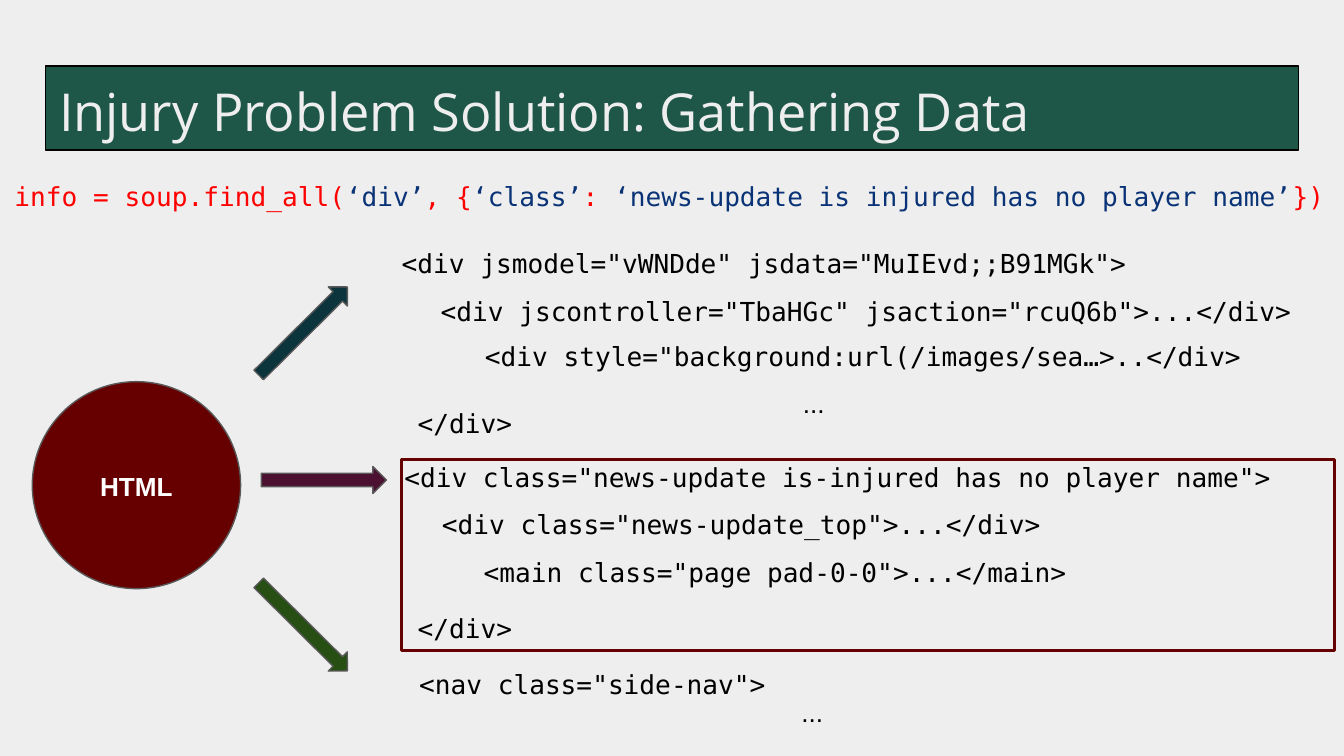
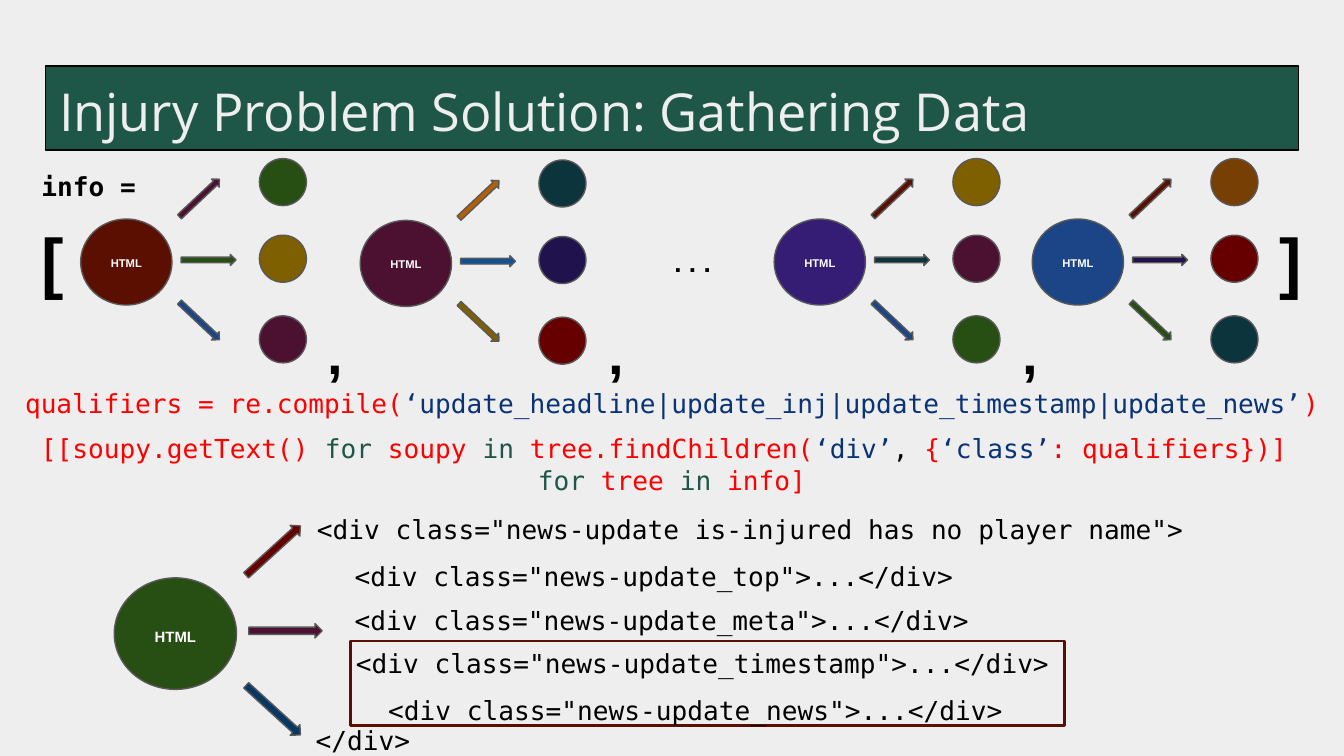
from math import atan2, degrees
from pptx import Presentation
from pptx.dml.color import RGBColor as RGB
from pptx.enum.shapes import MSO_SHAPE as Kind
from pptx.enum.text import MSO_ANCHOR as Anchor, MSO_AUTO_SIZE as Fit, PP_ALIGN as Align
from pptx.util import Inches, Pt

HEX = {
    "paper": "EEEEEE", "band": "1E5748", "ink": "000000", "white": "FFFFFF",
    "edge": "595959", "red": "FF0000", "navy": "093376", "wine": "660000",
    "rust": "5B0F00", "plum": "4C1130", "green": "274E13", "teal": "0C343D",
    "gold": "7F6000", "blue": "1C4587", "sky": "0B5394", "deep": "073763",
    "night": "20124D", "violet": "351C75", "orange": "B45F06", "brown": "783F04",
}
HUE = {name: RGB.from_string(code) for name, code in HEX.items()}
MONO, SANS, HEAD = "DejaVu Sans Mono", "Arial", "Open Sans"

# Wide 16:9 slides on a grey ground
deck = Presentation()
deck.slide_width, deck.slide_height = Inches(10), Inches(10 * 9 / 16)
CELL = deck.slide_width / 100  # square grid, 100 columns across
back = deck.slide_master.background.fill
back.solid()
back.fore_color.rgb = HUE["paper"]


def write(host, text, box=None, size=14, font=MONO, hue="ink",
          bold=False, align=Align.LEFT, indent=0):
    """Fill a shape, or a new text box on a slide; text is a string or lines of runs."""
    if box:
        host = host.shapes.add_textbox(*[round(n * CELL) for n in box])
    frame = host.text_frame
    frame.word_wrap, frame.auto_size = True, Fit.NONE
    frame.vertical_anchor = Anchor.TOP
    frame.margin_left = frame.margin_right = Inches(0.1)
    frame.margin_top = frame.margin_bottom = Inches(0.1)
    lines = [[(text, hue)]] if isinstance(text, str) else text
    for i, line in enumerate(lines):
        para = frame.add_paragraph() if i else frame.paragraphs[0]
        para.alignment = align
        if indent:
            para._p.get_or_add_pPr().set("marL", str(round(indent * CELL)))
        for words, tint in line:
            run = para.add_run()
            run.text = words
            run.font.name, run.font.size, run.font.bold = font, Pt(size), bold
            run.font.color.rgb = HUE[tint]


def draw(page, kind, box, fill=None, line="edge", width=0.75, turn=0):
    shape = page.shapes.add_shape(kind, *[round(n * CELL) for n in box])
    shape.shadow.inherit = False
    shape.rotation = turn
    if fill:
        shape.fill.solid()
        shape.fill.fore_color.rgb = HUE[fill]
    else:
        shape.fill.background()
    shape.line.color.rgb, shape.line.width = HUE[line], Pt(width)


# Slides with the shared title band
pages = []
for _ in range(2):
    page = deck.slides.add_slide(deck.slide_layouts[5])
    title = page.shapes.title
    title.left, title.top, title.width, title.height = [
        round(n * CELL) for n in (3.4, 4.9, 93.2, 6.25)]
    title.fill.solid()
    title.fill.fore_color.rgb = HUE["band"]
    title.line.color.rgb, title.line.width = HUE["ink"], Pt(0.75)
    write(title, "Injury Problem Solution: Gathering Data", size=28, font=HEAD, hue="paper")
    pages.append(page)
first, second = pages

# Frames around the matching tags
draw(first, Kind.RECTANGLE, (29.9, 34.2, 69.4, 14.2), line="wine", width=1.5)
draw(second, Kind.RECTANGLE, (26.1, 47.7, 53.1, 6.3), line="rust", width=1.5)

# HTML trees: circle, label and three arrows (up, middle, down)
BIG, MID, TINY = (15.5, 15.4, 14, 5.6), (9.1, 8.3, 8, 2.7), (6.8, 6.4, 6, 1.8)
trees = [
    (first, 2.4, 28.4, BIG, "wine", ("teal", "plum", "green"), ()),
    (second, 8.5, 43, MID, "green", ("wine", "plum", "deep"), ()),
    (second, 6, 16.3, TINY, "rust", ("plum", "green", "blue"), ("green", "gold", "plum")),
    (second, 26.8, 16.4, TINY, "plum", ("orange", "sky", "gold"), ("teal", "night", "wine")),
    (second, 57.6, 16.3, TINY, "violet", ("rust", "teal", "blue"), ("gold", "plum", "green")),
    (second, 76.8, 16.3, TINY, "blue", ("rust", "night", "green"), ("brown", "wine", "teal")),
]
for page, x, y, (w, h, size, drop), fill, arrows, leaves in trees:
    draw(page, Kind.OVAL, (x, y, w, h), fill)
    write(page, "HTML", (x, y + drop, w, 0.3 * h), size=size, font=SANS,
          hue="white", bold=True, align=Align.CENTER)
    tilt = degrees(atan2(h, w))
    spots = [(1, -0.31, -tilt), (1.1, 0.41, 0), (1, 1.12, tilt)]
    for tint, (right, down, turn) in zip(arrows, spots):
        draw(page, Kind.RIGHT_ARROW, (x + right * w, y + down * h, 0.6 * w, 0.13 * h),
             tint, turn=turn)
    for tint, down in zip(leaves, (-4.5, 1.2, 7.2)):
        draw(page, Kind.OVAL, (x + 13.3, y + down, 3.5, 3.5), tint)

# Tags found: page, left, top, width, indent, text
tags = [
    (first, 28.9, 17.4, 69.4, 0, '<div jsmodel="vWNDde" jsdata="MuIEvd;;B91MGk">'),
    (first, 26.8, 21, 87.4, 5, '<div jscontroller="TbaHGc" jsaction="rcuQ6b">...</div>'),
    (first, 30.1, 24.3, 84.2, 5, '<div style="background:url(/images/sea…>..</div>'),
    (first, 30.1, 29.3, 63.6, 0, "</div>"),
    (first, 29.1, 33.3, 69.9, 0, '<div class="news-update is-injured has no player name">'),
    (first, 31.9, 36.8, 56.1, 0, '<div class="news-update_top">...</div>'),
    (first, 35, 40.4, 56.1, 0, '<main class="page pad-0-0">...</main>'),
    (first, 30.1, 44.6, 63.6, 0, "</div>"),
    (first, 30.2, 48.7, 64.3, 0, '<nav class="side-nav">'),
    (second, 22.6, 37.2, 69.9, 0, '<div class="news-update is-injured has no player name">'),
    (second, 25.4, 40.7, 56.1, 0, '<div class="news-update_top">...</div>'),
    (second, 25.4, 44, 56.1, 0, '<div class="news-update_meta">...</div>'),
    (second, 25.5, 47.2, 56.1, 0, '<div class="news-update_timestamp">...</div>'),
    (second, 27.9, 50.7, 56.1, 0, '<div class="news-update_news">...</div>'),
    (second, 22.5, 52.9, 63.6, 0, "</div>"),
]
for page, x, y, w, indent, text in tags:
    write(page, text, (x, y, w, 3.1 if text == "</div>" else 5), indent=indent)
for box in ((28.4, 27.8, 64.3, 3.1), (27.3, 50.8, 66.3, 2)):
    write(first, "...", box, font=SANS, align=Align.CENTER)

# Code that does the search
find = [[("info = soup.find_all(", "red"), ("‘div’", "navy"), (", {", "red"),
         ("‘class’", "navy"), (": ", "red"),
         ("‘news-update is injured has no player name’", "navy"), ("})", "red")]]
match = [[("qualifiers = re.compile(", "red"),
          ("‘update_headline|update_inj|update_timestamp|update_news’", "navy"), (")", "red")]]
pick = [[("[[soupy.getText() ", "red"), ("for", "band"), (" soupy ", "red"), ("in", "band"),
         (" tree.findChildren(", "red"), ("‘div’", "navy"), (", ", "ink"), ("{", "red"),
         ("‘class’", "navy"), (": qualifiers})] ", "red")],
        [("for", "band"), (" tree ", "red"), ("in", "band"), (" info]", "red")]]
for page, code, box in ((first, find, (-0.4, 12.4, 100.4, 4.4)),
                        (second, match, (0, 27.8, 100, 4.6)),
                        (second, pick, (0, 31.2, 100, 3.1))):
    write(page, code, box, align=Align.CENTER)

# List signs around the small trees
write(second, "info =", (2.1, 11.7, 9.6, 2.1), bold=True)
for sign, x in (("[", 2.1), ("]", 94.2)):
    write(second, sign, (x, 15.3, 8.3, 8.3), size=36, font=SANS, bold=True)
for x in (23.4, 44.3, 75.1):
    write(second, ",", (x, 22.7, 4.9, 4.6), size=30, font=SANS, bold=True)
write(second, ". . .", (49.2, 17.3, 4.8, 3.5), font=SANS, bold=True)

deck.save("out.pptx")
